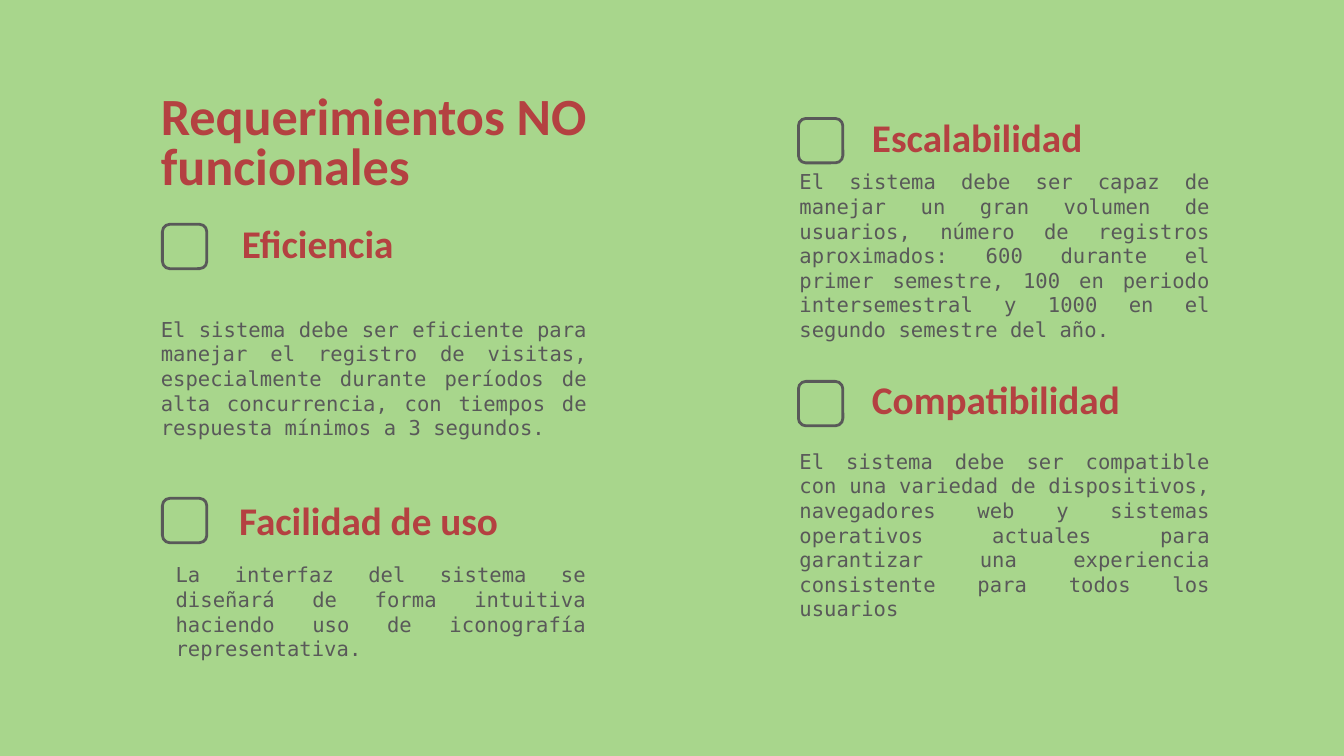
from pptx import Presentation
from pptx.dml.color import RGBColor
from pptx.enum.shapes import MSO_SHAPE as Shape
from pptx.enum.text import MSO_ANCHOR as Anchor, PP_ALIGN as Align
from pptx.util import Cm, Pt

GREEN = RGBColor(0xA8, 0xD6, 0x8C)
RED = RGBColor(0xB4, 0x41, 0x41)
GRAY = RGBColor(0x59, 0x59, 0x59)

HEADING_FONT = "Calibri"
BODY_FONT = "DejaVu Sans Mono"
INSET = 0.25
CHECKBOX_SIZE = 0.84
HEADING_HEIGHT = 0.97

REQUIREMENTS = [
    ("Eficiencia",
     "El sistema debe ser eficiente para manejar el registro de visitas, "
     "especialmente durante períodos de alta concurrencia, con tiempos de "
     "respuesta mínimos a 3 segundos.",
     (3.07, 4.24), (4.32, 4.11, 5.49), (2.79, 5.51, 8.56, 3.28)),
    ("Facilidad de uso",
     "La interfaz del sistema se diseñará de forma intuitiva haciendo uso de "
     "iconografía representativa.",
     (3.07, 9.42), (4.27, 9.35, 6.27), (3.07, 10.67, 8.26, 1.78)),
    ("Escalabilidad",
     "El sistema debe ser capaz de manejar un gran volumen de usuarios, número "
     "de registros aproximados: 600 durante el primer semestre, 100 en periodo "
     "intersemestral y 1000 en el segundo semestre del año.",
     (15.09, 2.24), (16.23, 2.11, 5.49), (14.86, 3.51, 8.26, 2.64)),
    ("Compatibilidad",
     "El sistema debe ser compatible con una variedad de dispositivos, "
     "navegadores web y sistemas operativos actuales para garantizar una "
     "experiencia consistente para todos los usuarios",
     (15.09, 7.21), (16.23, 7.06, 5.49), (14.86, 8.79, 8.26, 2.64)),
]


def add_text(slide, text, box, *, font, size, color, bold=False,
             align=Align.LEFT, anchor=Anchor.MIDDLE, line_spacing=1.0):
    frame = slide.shapes.add_textbox(*map(Cm, box)).text_frame
    frame.word_wrap = True
    frame.vertical_anchor = anchor
    frame.margin_left = frame.margin_right = Cm(INSET)
    frame.margin_top = frame.margin_bottom = Cm(INSET)
    paragraph = frame.paragraphs[0]
    paragraph.alignment = align
    paragraph.line_spacing = line_spacing
    run = paragraph.add_run()
    run.text = text
    run.font.name = font
    run.font.size = Pt(size)
    run.font.bold = bold
    run.font.color.rgb = color


def add_title(slide, box):
    add_text(slide, "Requerimientos NO funcionales", box, font=HEADING_FONT,
             size=28, color=RED, bold=True, anchor=Anchor.TOP, line_spacing=0.8)


def add_checkbox(slide, left, top):
    shape = slide.shapes.add_shape(Shape.ROUNDED_RECTANGLE, Cm(left), Cm(top),
                                   Cm(CHECKBOX_SIZE), Cm(CHECKBOX_SIZE))
    shape.shadow.inherit = False
    shape.fill.background()
    shape.line.color.rgb = GRAY
    shape.line.width = Pt(1.5)


def add_requirement(slide, name, description, corner, heading_box, body_box):
    add_checkbox(slide, *corner)
    add_text(slide, name, (*heading_box, HEADING_HEIGHT), font=HEADING_FONT,
             size=21, color=RED, bold=True)
    add_text(slide, description, body_box, font=BODY_FONT, size=11, color=GRAY,
             align=Align.JUSTIFY)


def main():
    presentation = Presentation()
    presentation.slide_width = Cm(25.4)
    presentation.slide_height = Cm(14.29)
    slide = presentation.slides.add_slide(presentation.slide_layouts[6])
    slide.background.fill.solid()
    slide.background.fill.fore_color.rgb = GREEN

    add_title(slide, (2.79, 1.55, 8.6, 2.62))
    for requirement in REQUIREMENTS:
        add_requirement(slide, *requirement)

    presentation.save("out.pptx")


if __name__ == "__main__":
    main()
